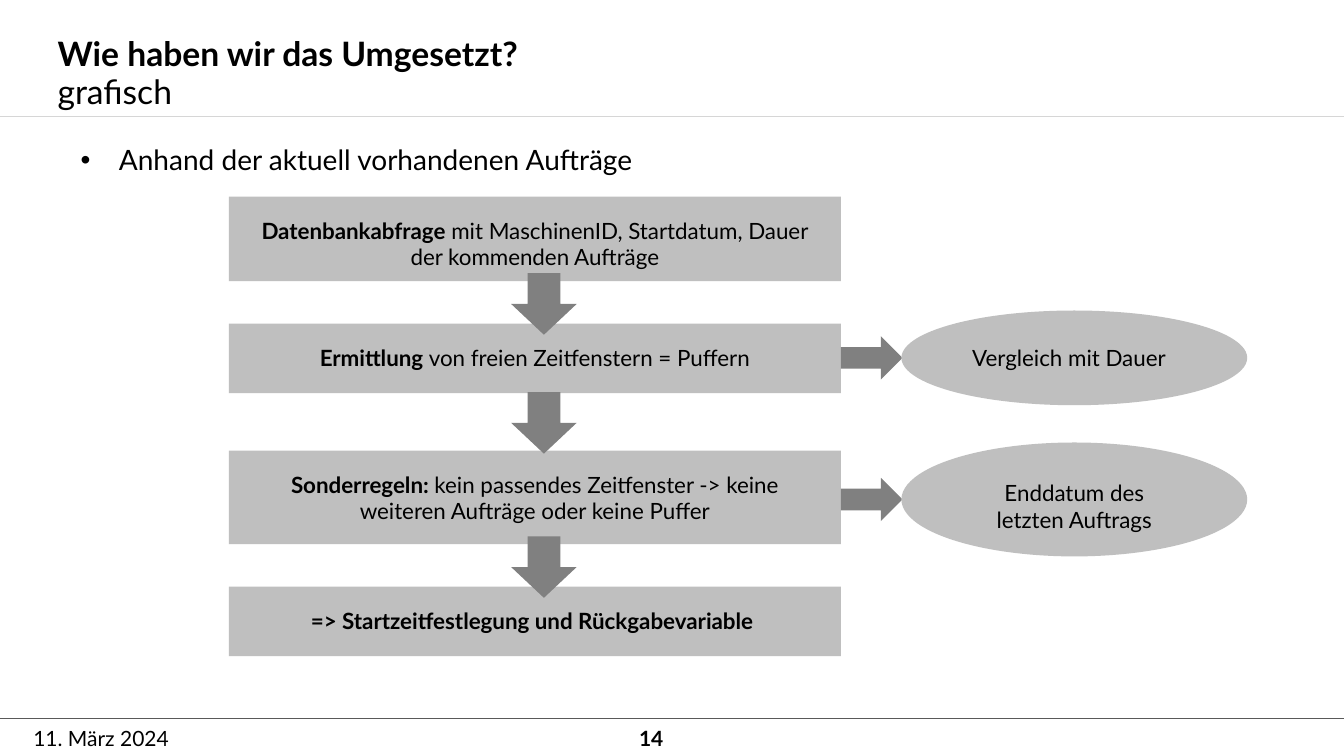
import lxml.etree
import pptx
import pptx.dml.color
import pptx.enum.shapes
import pptx.enum.text
import pptx.oxml.ns
import pptx.util

SHAPE = pptx.enum.shapes.MSO_SHAPE
ALIGN = pptx.enum.text.PP_ALIGN

presentation = pptx.Presentation()
presentation.slide_width = pptx.util.Inches(13.33)
presentation.slide_height = pptx.util.Inches(7.5)
slide = presentation.slides.add_slide(presentation.slide_layouts[6])
column = presentation.slide_width / 100
row = presentation.slide_height / 100


def color(value):
    return pptx.dml.color.RGBColor.from_string(value)


def add_block(kind, area, runs=(), fill=None, size=16, inset=0.2, **paragraph_format):
    left, top, width, height = area
    box = [int(length) for length in (left * column, top * row, width * column, height * row)]
    if kind is None:
        shape = slide.shapes.add_textbox(*box)
    else:
        shape = slide.shapes.add_shape(kind, *box)
        shape.shadow.inherit = False
        shape.fill.solid()
        shape.fill.fore_color.rgb = color(fill)
        shape.line.fill.background()
    frame = shape.text_frame
    margin = pptx.util.Inches(inset)
    frame_format = {
        "margin_left": margin, "margin_top": margin, "margin_right": margin, "margin_bottom": margin,
        "word_wrap": True, "vertical_anchor": pptx.enum.text.MSO_ANCHOR.TOP,
    }
    for name, value in frame_format.items():
        setattr(frame, name, value)
    paragraph = frame.paragraphs[0]
    for name, value in paragraph_format.items():
        setattr(paragraph, name, value)
    for text, bold in runs:
        run = paragraph.add_run()
        run.text = text
        for name, value in {"name": "Lato", "size": pptx.util.Pt(size), "bold": bold}.items():
            setattr(run.font, name, value)
        run.font.color.rgb = color("000000")
    return shape


for level, line_color in ((95.07, "595959"), (15.33, "D6D6D6")):
    rule = slide.shapes.add_connector(
        pptx.enum.shapes.MSO_CONNECTOR.STRAIGHT,
        0, int(level * row), presentation.slide_width, int(level * row),
    )
    rule.line.color.rgb = color(line_color)
    rule.line.width = pptx.util.Pt(0.5)
    lxml.etree.SubElement(rule.element.spPr, pptx.oxml.ns.qn("a:effectLst"))

texts = [
    ((2.48, 96, 12, 3.33), "11. März 2024", False, 15, ALIGN.LEFT),
    ((46.21, 96, 3.15, 3.33), "14", True, 15, ALIGN.RIGHT),
    ((4.28, 4.4, 79.9, 5.33), "Wie haben wir das Umgesetzt?", True, 24, ALIGN.LEFT),
    ((4.28, 9.33, 79.9, 5.33), "grafisch", False, 24, ALIGN.LEFT),
]
for area, text, bold, size, alignment in texts:
    add_block(None, area, [(text, bold)], size=size, inset=0, alignment=alignment)

body = add_block(
    None, (6, 18, 86.72, 75.73), [("Anhand der aktuell vorhandenen Aufträge", False)],
    size=20, inset=0, line_spacing=1.2, space_after=pptx.util.Pt(8),
)
body.text_frame.margin_right = pptx.util.Inches(0.59)
bullet_properties = body.text_frame.paragraphs[0]._p.get_or_add_pPr()
indent = pptx.util.Inches(0.38)
bullet_properties.set("marL", str(indent))
bullet_properties.set("indent", str(-indent))
for tag, attribute, value in (("a:buFont", "typeface", "Arial"), ("a:buChar", "char", "•")):
    lxml.etree.SubElement(bullet_properties, pptx.oxml.ns.qn(tag)).set(attribute, value)

step_left, step_width = 17.03, 45.54
steps = [
    (26, 11.2, [("Datenbankabfrage", True),
                (" mit MaschinenID, Startdatum, Dauer der kommenden Aufträge", False)]),
    (42.8, 9.2, [("Ermittlung ", True), ("von freien Zeitfenstern = Puffern", False)]),
    (59.6, 12.4, [("Sonderregeln: ", True),
                  ("kein passendes Zeitfenster -> keine weiteren Aufträge oder keine Puffer", False)]),
    (77.6, 9.2, [("=> Startzeitfestlegung und Rückgabevariable ", True)]),
]
for top, height, runs in steps:
    add_block(SHAPE.RECTANGLE, (step_left, top, step_width, height), runs, "BFBFBF",
              alignment=ALIGN.CENTER, space_after=pptx.util.Pt(8))

arrow_length = 4.58
for top in (35.87, 51.6, 70.67):
    arrow = add_block(SHAPE.RIGHT_ARROW, (38.18, top, arrow_length, 8.67), fill="808080")
    arrow.rotation = 90

results = [
    (41.07, 12.53, "Vergleich mit Dauer", ALIGN.LEFT),
    (58.53, 15.07, "Enddatum des letzten Auftrags", ALIGN.CENTER),
]
arrow_height = 5.73
for top, height, text, alignment in results:
    arrow_top = top + (height - arrow_height) / 2
    add_block(SHAPE.RIGHT_ARROW, (step_left + step_width, arrow_top, arrow_length, arrow_height), fill="808080")
    add_block(SHAPE.OVAL, (67.07, top, 25.73, height), [(text, False)], "BFBFBF",
              alignment=alignment, space_after=pptx.util.Pt(8))

presentation.save("out.pptx")
